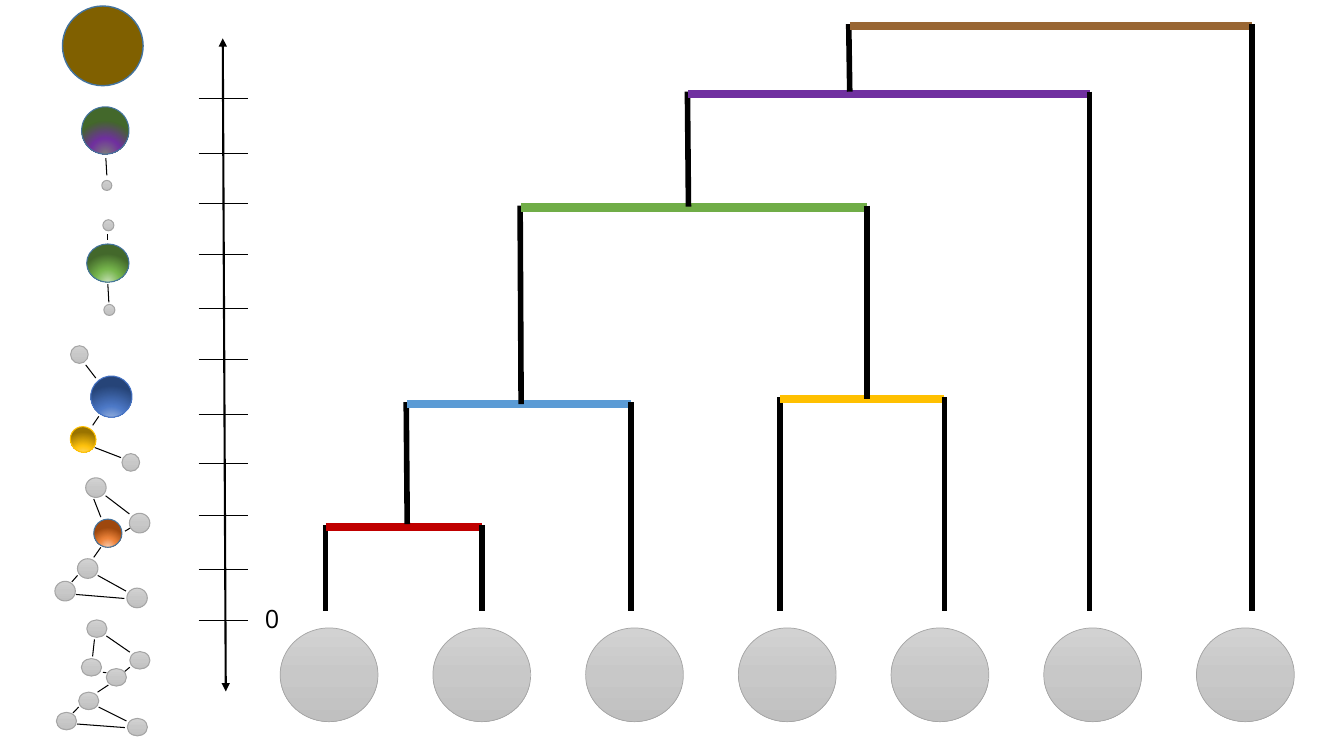
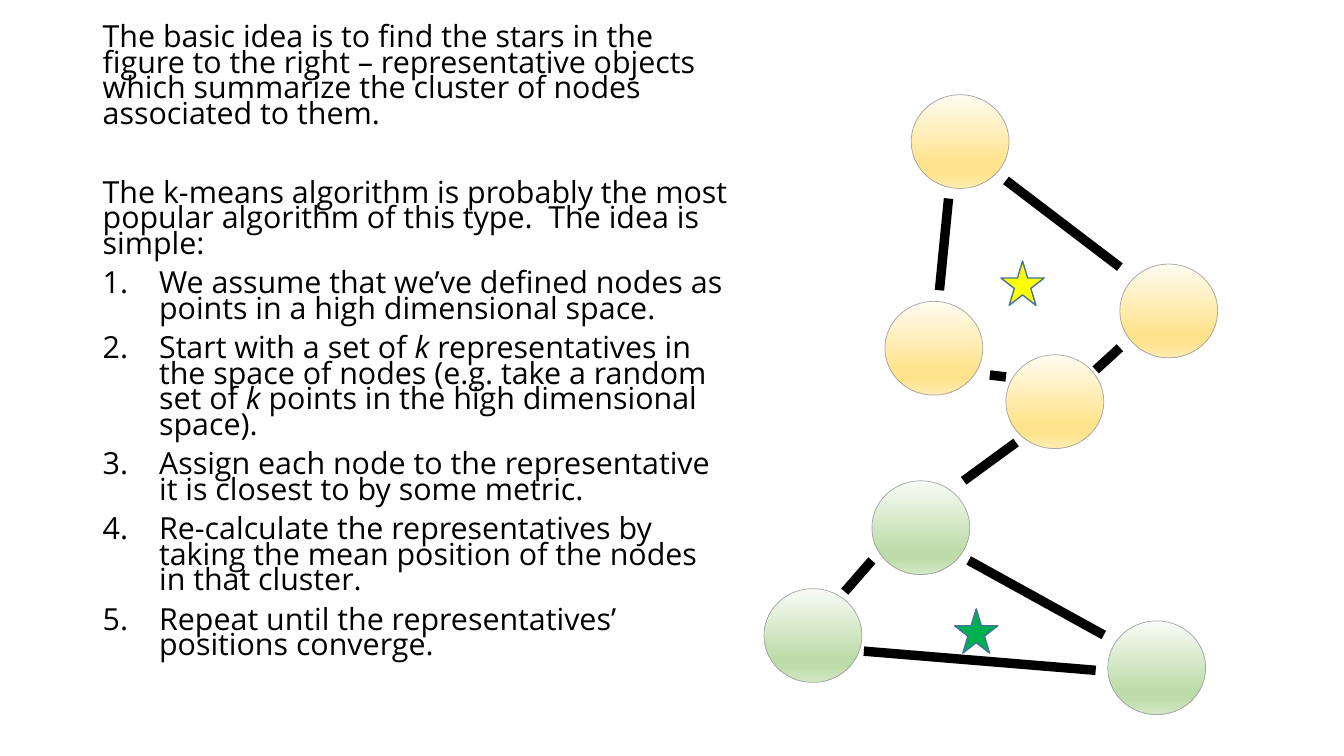
from lxml import etree
from pptx import Presentation
from pptx.dml.color import RGBColor
from pptx.enum.shapes import MSO_CONNECTOR, MSO_SHAPE
from pptx.enum.text import MSO_AUTO_SIZE
from pptx.oxml import parse_xml
from pptx.oxml.ns import nsdecls, qn
from pptx.util import Inches, Pt

STRAIGHT = MSO_CONNECTOR.STRAIGHT
ELLIPSE = MSO_SHAPE.OVAL
STAR = MSO_SHAPE.STAR_5_POINT
GROW = MSO_AUTO_SIZE.SHAPE_TO_FIT_TEXT

# Style: linear gradients run downwards, radial ones glow from below
GREY = [(0, "D2D2D2"), (50, "C8C8C8"), (100, "C0C0C0")]
CREAM = [(0, "FFFCF2"), (74, "FFE38C"), (83, "FFE38C"), (100, "FFECB2")]
MINT = [(0, "F8FBF6"), (74, "BEDCAA"), (83, "BEDCAA"), (100, "D4E8C6")]
ORANGE = [(0, "F8CBAD"), (46, "EE843B"), (100, "9E480E")]
BLUE = [(0, "B4C7E7"), (46, "4D79C7"), (100, "264478")]
GOLD = [(0, "FFE699"), (46, "FFC30D"), (100, "997300")]
GREEN = [(0, "C5E0B4"), (46, "76B54C"), (100, "43682B")]
PURPLE = [(0, "7C7C7C"), (47, "7030A0"), (100, "43682B")]
BLACK, SILVER, STEEL = "000000", "A5A5A5", "43739E"
BALL = (9.7, 9.3)
FLOOR = 60.6


def rgb(value):
    return RGBColor.from_string(value)


def cells(count):
    """Grid cells are a tenth of an inch: 133.33 columns by 75 rows."""
    return Inches(count / 10)


class Deck:
    font = "Open Sans"

    def __init__(self):
        self.prs = Presentation()
        self.prs.slide_width, self.prs.slide_height = cells(133.33), cells(75)

    def new_slide(self):
        self.shapes = self.prs.slides.add_slide(self.prs.slide_layouts[6]).shapes

    def outline(self, line, color, weight):
        line.color.rgb = rgb(color)
        line.width = Pt(weight)

    def gradient(self, shape, stops, radial):
        if radial:
            course = ('<a:path path="circle"><a:fillToRect l="50000" t="130000" '
                      'r="50000" b="-30000"/></a:path>')
        else:
            course = '<a:lin ang="5400000" scaled="0"/>'
        marks = "".join(f'<a:gs pos="{pos * 1000}"><a:srgbClr val="{color}"/></a:gs>'
                        for pos, color in stops)
        shape.fill.background()
        blank = shape.element.spPr.find(qn("a:noFill"))
        blank.getparent().replace(blank, parse_xml(
            f'<a:gradFill {nsdecls("a")} rotWithShape="1">'
            f'<a:gsLst>{marks}</a:gsLst>{course}</a:gradFill>'))

    def shape(self, kind, at, fill, edge=SILVER, weight=0.75, radial=False, turn=0):
        figure = self.shapes.add_shape(kind, *map(cells, at))
        figure.shadow.inherit = False
        figure.rotation = turn
        if isinstance(fill, str):
            figure.fill.solid()
            figure.fill.fore_color.rgb = rgb(fill)
        else:
            self.gradient(figure, fill, radial)
        self.outline(figure.line, edge, weight)

    def line(self, ends, weight=0.75, color=BLACK, arrows=False):
        stroke = self.shapes.add_connector(STRAIGHT, *map(cells, ends))
        self.outline(stroke.line, color, weight)
        props = stroke._element.spPr
        if arrows:
            for end in ("a:headEnd", "a:tailEnd"):
                etree.SubElement(props.find(qn("a:ln")), qn(end), type="triangle")
        etree.SubElement(props, qn("a:effectLst"))

    def cluster(self, leaves, size, edges, cores=()):
        """Grey leaves, their edges, then the merged nodes on top."""
        for left, top in leaves:
            self.shape(ELLIPSE, (left, top, size, size), GREY)
        for ends in edges:
            self.line(ends)
        for at, fill, edge, turn in cores:
            self.shape(ELLIPSE, at, fill, edge, radial=True, turn=turn)

    def network(self, nodes, edges, left=75.8, top=9.4, ball=BALL,
                thin=0.5, thick=6.75):
        """The node network, moved to left/top and scaled to the ball size."""
        def put(x, y):
            return (left + (x - 75.8) * ball[0] / BALL[0],
                    top + (y - 9.4) * ball[1] / BALL[1])

        for x, y, fill in nodes:
            self.shape(ELLIPSE, put(x, y) + ball, fill, weight=thin)
        for x1, y1, x2, y2 in edges:
            self.line(put(x1, y1) + put(x2, y2), thick)

    def merge(self, left, left_foot, right, right_foot, bar, color):
        """A dendrogram joint: two posts and a coloured bar."""
        lean = 0.1 if left_foot < FLOOR else 0
        self.line((left, left_foot, left - lean, bar - 0.2), 4)
        self.line((left, bar, right, bar), 6, color)
        self.line((right, bar - 0.2, right, right_foot), 4)

    def text(self, at, paragraphs, size):
        """Paragraphs are (text, space before, line spacing, numbered)."""
        box = self.shapes.add_textbox(*map(cells, at))
        frame = box.text_frame
        frame.word_wrap = True
        for index, (words, before, spacing, numbered) in enumerate(paragraphs):
            para = frame.add_paragraph() if index else frame.paragraphs[0]
            para.space_before = Pt(before)
            para.line_spacing = spacing
            if numbered:
                props = para._p.get_or_add_pPr()
                props.set("marL", str(cells(5.6)))
                props.set("indent", str(-cells(5.6)))
                etree.SubElement(props, qn("a:buFont"), typeface="+mj-lt")
                etree.SubElement(props, qn("a:buAutoNum"), type="arabicPeriod")
            # Words between asterisks are italic
            for place, piece in enumerate(words.split("*")):
                run = para.add_run()
                run.text = piece
                run.font.name, run.font.size = self.font, Pt(size)
                run.font.color.rgb = rgb(BLACK)
                if place % 2:
                    run.font.italic = True
        return frame


# The network that both slides show
UPPER = [(111.1, 26.2), (90.4, 9.4), (87.8, 29.9), (99.8, 35.2)]
LOWER = [(109.9, 61.6), (86.5, 47.7), (75.8, 58.4)]
LASTING_EDGES = [(96.1, 55.6, 109.5, 63), (85.7, 64.6, 108.7, 66.5),
                 (99.8, 17.9, 111.1, 26.5), (86.5, 55.6, 83.8, 58.7)]
MERGED_EDGES = [(98.2, 37.2, 99.8, 37.4), (93.2, 28.8, 94.1, 19.7),
                (108.7, 36.7, 111.1, 34.5), (95.6, 47.7, 100.8, 43.9)]
ALL_EDGES = LASTING_EDGES + MERGED_EDGES


def painted(spots, fill):
    return [(x, y, fill) for x, y in spots]


def dendrogram_slide(deck):
    deck.new_slide()

    # Leaves and joints of the tree
    for column in range(7):
        deck.shape(ELLIPSE, (27.8 + 15.15 * column, 62.3) + BALL, GREY, weight=0.5)
    for joint in [(32.3, FLOOR, 47.8, FLOOR, 52.3, "C00000"),
                  (40.4, 52, 62.6, FLOOR, 40.1, "5B9BD5"),
                  (77.4, FLOOR, 93.7, FLOOR, 39.6, "FFC000"),
                  (51.7, 40.1, 86, 39.6, 20.6, "70AD47"),
                  (68.3, 20.5, 108.1, FLOOR, 9.3, "7030A0"),
                  (84.3, 9.1, 124.2, FLOOR, 2.6, "996633")]:
        deck.merge(*joint)

    # Stages of merging, from single nodes at the foot to one cluster on top
    deck.network(painted(UPPER + LOWER, GREY), ALL_EDGES, 5.6, 61.5,
                 (2, 1.74), 0.75, 0.75)
    deck.network(painted(UPPER[:2] + LOWER, GREY), LASTING_EDGES, 5.45, 47.4,
                 (2.03, 1.95), 0.75, 0.75)
    deck.cluster([], 0, [(10, 51.3, 9.3, 49.5), (12.4, 52.7, 12.9, 52.4),
                         (9.3, 55.3, 10, 54.3)],
                 [((9.3, 51.5, 2.8, 2.8), ORANGE, STEEL, 0)])
    deck.cluster([(7, 34.3), (12.1, 45)], 1.75,
                 [(9.4, 44.4, 12, 45.4), (9.5, 37.5, 8.5, 36.2),
                  (9.2, 42.2, 9.8, 41.3)],
                 [((9, 37.3, 4.1, 4.1), BLUE, "4472C4", 337.2),
                  ((7, 42.3, 2.5, 2.6), GOLD, "FFC000", 315.3)])
    deck.cluster([(10.2, 21.8), (10.3, 30.2)], 1.1,
                 [(10.7, 28.2, 10.8, 30), (10.7, 23.8, 10.7, 23.2)],
                 [((8.6, 24.2, 4.2, 3.8), GREEN, STEEL, 0)])
    deck.cluster([(10.1, 17.9)], 1, [(10.5, 15.7, 10.6, 17.4)],
                 [((8.1, 10.6, 4.7, 4.7), PURPLE, STEEL, 0)])
    deck.shape(ELLIPSE, (6.2, 0.6, 8, 7.9), "806000", STEEL, 1)

    # Height axis
    deck.line((22.1, 3.8, 22.4, 68.6), 1.5, arrows=True)
    for height in (61.5, 56.5, 51.1, 46, 41.1, 35.7, 30.6, 25.2, 20.2, 15.2, 9.8):
        deck.line((19.7, height, 24.6, height), 0.5)
    zero = deck.text((25.3, 59.4, 5.1, 4), [("0", 0, 1, False)], 18)
    zero.auto_size = GROW


def k_means_slide(deck):
    deck.new_slide()

    # Explanation and numbered steps
    intro = ("The basic idea is to find the stars in the figure to the right – "
             "representative objects which summarize the cluster of nodes "
             "associated to them.")
    method = ("The k-means algorithm is probably the most popular algorithm of "
              "this type.  The idea is simple:")
    steps = ["We assume that we’ve defined nodes as points in a high dimensional space.",
             "Start with a set of *k* representatives in the space of nodes (e.g. "
             "take a random set of *k* points in the high dimensional space).",
             "Assign each node to the representative it is closest to by some metric.",
             "Re-calculate the representatives by taking the mean position of the "
             "nodes in that cluster.",
             "Repeat until the representatives’ positions converge."]
    tight = 0.7
    deck.text((9.2, 2.2, 64.2, 72.8),
              [(intro, 0, tight, False), (method, 38.2, tight, False)]
              + [(step, 10, tight, True) for step in steps], 21.7)

    # Two clusters and their representatives
    deck.network(painted(UPPER, CREAM) + painted(LOWER, MINT), ALL_EDGES)
    for left, top, color in [(99.3, 25.9, "FFFF00"), (94.7, 60.4, "00B050")]:
        deck.shape(STAR, (left, top, 4.3, 4.4), color, STEEL, 1)


def main():
    deck = Deck()
    dendrogram_slide(deck)
    k_means_slide(deck)
    deck.prs.save("out.pptx")


if __name__ == "__main__":
    main()
